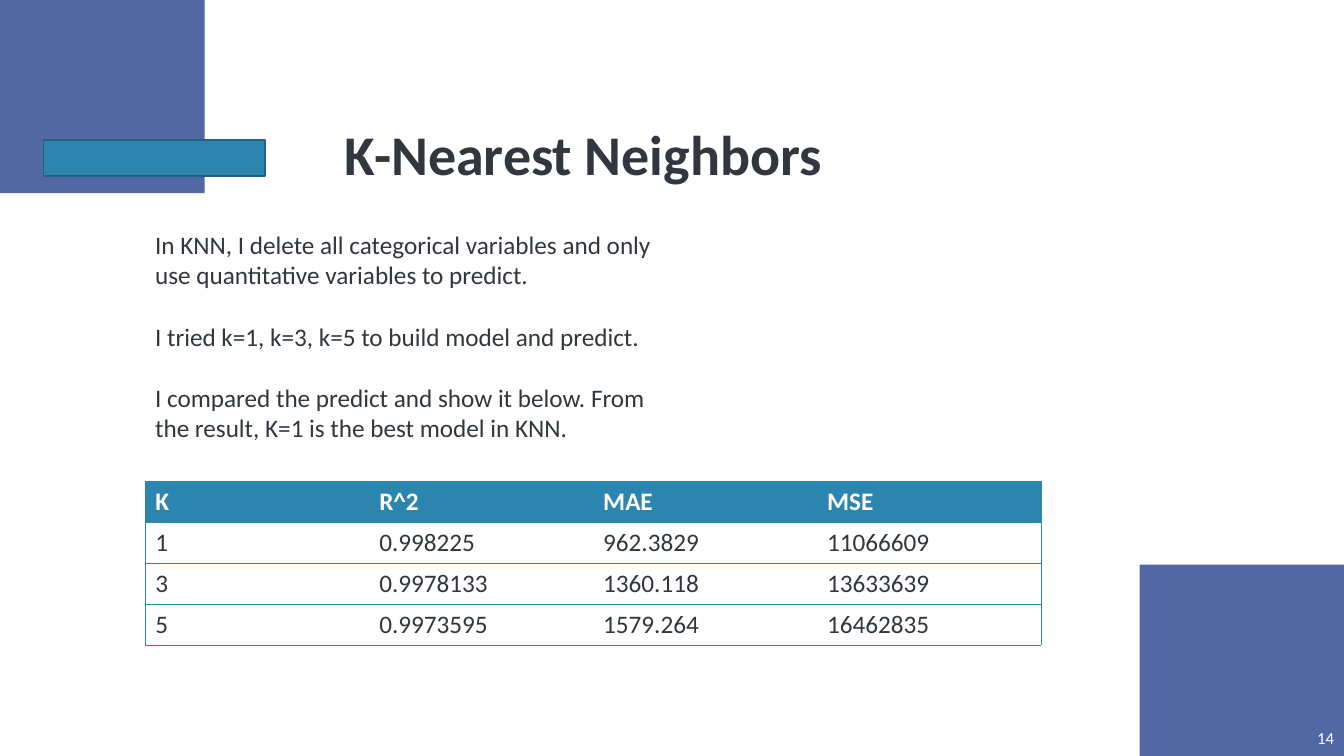
from pptx import Presentation
from pptx.dml.color import RGBColor
from pptx.enum.shapes import MSO_SHAPE
from pptx.enum.text import MSO_ANCHOR, PP_ALIGN
from pptx.oxml import parse_xml
from pptx.oxml.ns import nsdecls
from pptx.util import Cm, Pt

RECT = MSO_SHAPE.RECTANGLE
TOP, MIDDLE = MSO_ANCHOR.TOP, MSO_ANCHOR.MIDDLE
LEFT, CENTER, RIGHT = PP_ALIGN.LEFT, PP_ALIGN.CENTER, PP_ALIGN.RIGHT
INK, WHITE, TEAL, BLUE = "32363F", "FFFFFF", "2C85AE", "5268A5"


def rgb(color):
    return RGBColor.from_string(color)


def write(tf, lines, size, color, bold=False, align=LEFT, gap=0):
    for i, line in enumerate(lines):
        p = tf.paragraphs[0] if i == 0 else tf.add_paragraph()
        p.text = line
        p.alignment = align
        p.space_before = Pt(gap if i else 0)
        p.font.name = "Calibri"
        p.font.size = Pt(size)
        p.font.bold = bold
        p.font.color.rgb = rgb(color)


prs = Presentation()
prs.slide_width, prs.slide_height = Cm(33.87), Cm(19.05)
s = prs.slides.add_slide(prs.slide_layouts[6])

# Corner blocks and accent bar
for x, y, w, h, fill, line in [
    (0, 0, 5.16, 4.87, BLUE, None),
    (28.72, 14.23, 5.15, 4.82, BLUE, None),
    (1.09, 3.53, 5.59, 0.91, TEAL, "216281"),
]:
    sp = s.shapes.add_shape(RECT, Cm(x), Cm(y), Cm(w), Cm(h))
    sp.shadow.inherit = False
    sp.fill.solid()
    sp.fill.fore_color.rgb = rgb(fill)
    if line:
        sp.line.color.rgb = rgb(line)
        sp.line.width = Pt(1)
    else:
        sp.line.fill.background()

# Title, body and slide number
body = [
    "In KNN, I delete all categorical variables and only use quantitative variables to predict.",
    "I tried k=1, k=3, k=5 to build model and predict.",
    "I compared the predict and show it below. From the result, K=1 is the best model in KNN.",
]
for x, y, w, h, anchor, lines, size, color, bold, align in [
    (5, 2.87, 19.4, 1.98, MIDDLE, ["K-Nearest Neighbors"], 40, INK, True, CENTER),
    (3.66, 5.66, 13.28, 5.64, TOP, body, 18, INK, False, LEFT),
    (32.83, 18.29, 1.04, 0.58, MIDDLE, ["14"], 12, WHITE, False, RIGHT),
]:
    tf = s.shapes.add_textbox(Cm(x), Cm(y), Cm(w), Cm(h)).text_frame
    tf.word_wrap = True
    tf.vertical_anchor = anchor
    write(tf, lines, size, color, bold, align, gap=22)

# Results table
results = [
    ("K", "R^2", "MAE", "MSE"),
    ("1", "0.998225", "962.3829", "11066609"),
    ("3", "0.9978133", "1360.118", "13633639"),
    ("5", "0.9973595", "1579.264", "16462835"),
]
n_rows, n_cols = len(results), len(results[0])
table = s.shapes.add_table(n_rows, n_cols, Cm(3.66), Cm(12.13),
                           Cm(5.645 * n_cols), Cm(1.03 * n_rows)).table
table.horz_banding = False
for r, row in enumerate(results):
    for c, value in enumerate(row):
        cell = table.cell(r, c)
        header = r == 0
        write(cell.text_frame, [value], 18, WHITE if header else INK, header)

        # Rules between rows and around the table, none between columns
        ruled = {"lnL": c == 0, "lnR": c == n_cols - 1, "lnT": True, "lnB": True}
        for tag, shown in ruled.items():
            paint = (f'<a:solidFill><a:srgbClr val="{TEAL}"/></a:solidFill>'
                     if shown else "<a:noFill/>")
            cell._tc.get_or_add_tcPr().append(parse_xml(
                f'<a:{tag} {nsdecls("a")} w="6350">{paint}</a:{tag}>'))
        cell.fill.solid()
        cell.fill.fore_color.rgb = rgb(TEAL if header else WHITE)

prs.save("out.pptx")
